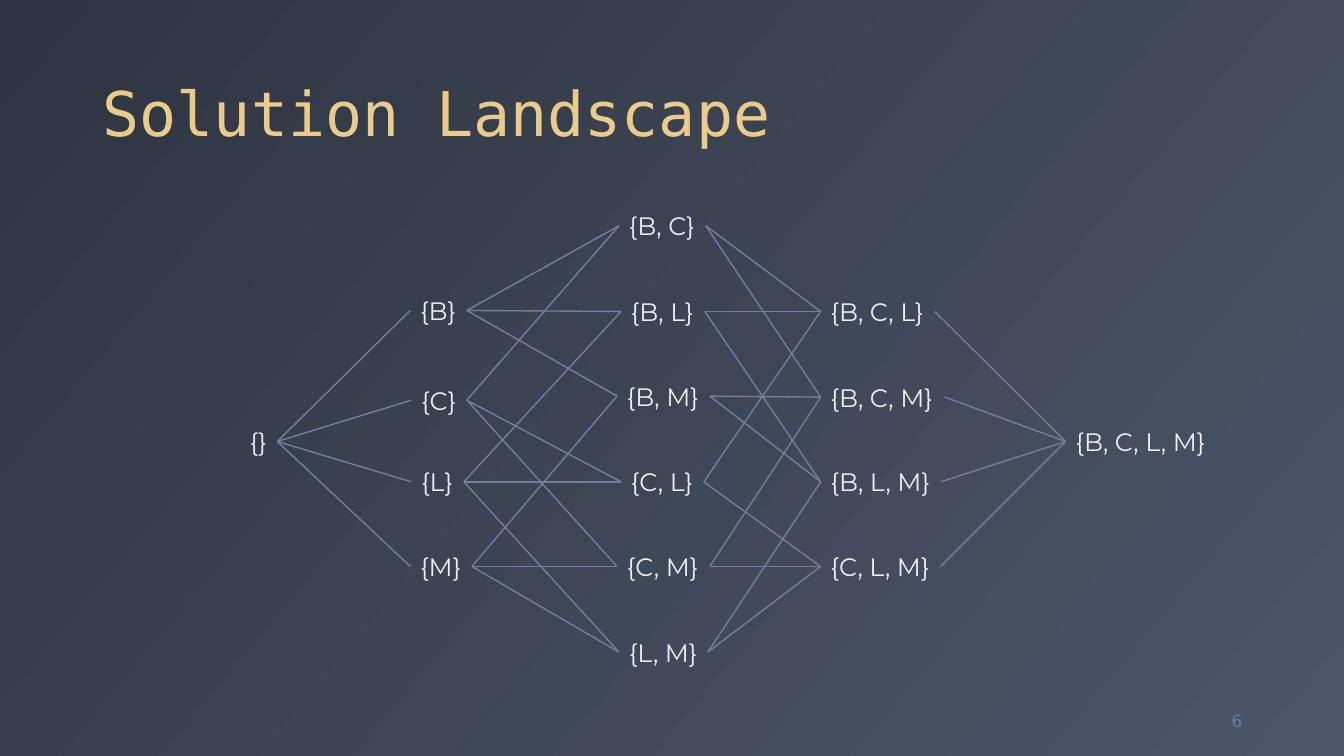
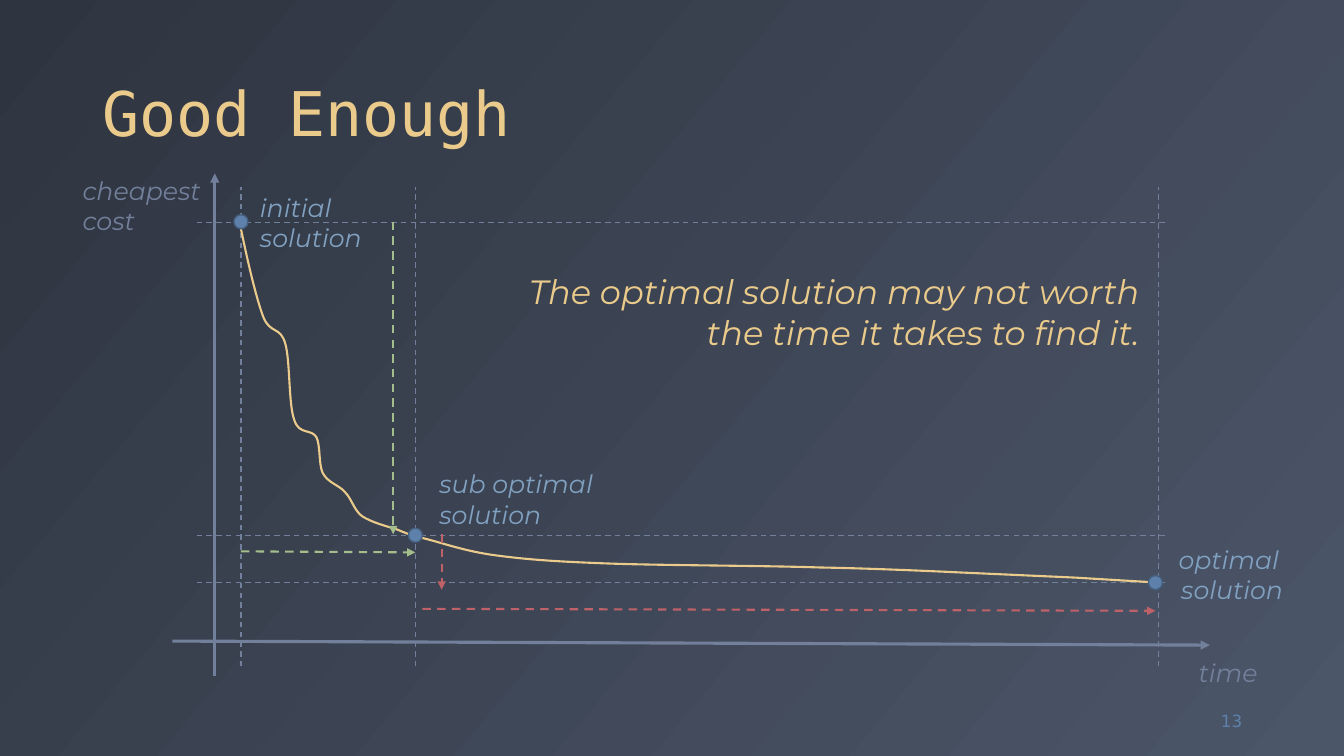
from itertools import combinations, pairwise

from lxml.etree import SubElement
from pptx import Presentation
from pptx.dml.color import RGBColor
from pptx.enum.dml import MSO_LINE
from pptx.enum.shapes import MSO_CONNECTOR, MSO_SHAPE
from pptx.enum.text import MSO_ANCHOR as Anchor, MSO_AUTO_SIZE as AutoSize, PP_ALIGN as Align
from pptx.oxml.ns import qn
from pptx.util import Inches, Pt

NIGHT = RGBColor(0x2E, 0x34, 0x40)
SLATE = RGBColor(0x4C, 0x56, 0x69)
SNOW = RGBColor(0xEC, 0xEF, 0xF3)
GREY = RGBColor(0x73, 0x80, 0x9B)
SAND = RGBColor(0xEB, 0xCB, 0x8B)
BLUE = RGBColor(0x5E, 0x81, 0xAC)
DARK_BLUE = RGBColor(0x46, 0x5F, 0x7F)
PALE_BLUE = RGBColor(0x81, 0xA1, 0xC1)
GREEN = RGBColor(0xA3, 0xBE, 0x8C)
RED = RGBColor(0xBF, 0x61, 0x69)

TITLE_FONT = "DejaVu Sans Mono"
NUMBER_FONT = "DejaVu Sans"
BODY_FONT = "Montserrat"

ITEMS = "BCLM"
LABEL_HEIGHT = 0.4
# Left, top and width of each subset label, one column per subset size
LABEL_COLUMNS = [
    [(2.38, 4.18, 0.37)],
    [(4.07, 2.88, 0.56), (4.08, 3.77, 0.55), (4.08, 4.58, 0.52), (4.07, 5.42, 0.61)],
    [(6.14, 2.04, 0.86), (6.16, 2.89, 0.83), (6.12, 3.73, 0.92),
     (6.16, 4.58, 0.82), (6.12, 5.42, 0.92), (6.14, 6.27, 0.88)],
    [(8.14, 2.89, 1.13), (8.14, 3.74, 1.23), (8.14, 4.58, 1.19), (8.14, 5.42, 1.19)],
    [(10.57, 4.18, 1.5)],
]

CURVE_START = (2.39, 2.27)
# Two control points and an end point for each bend
CURVE_BENDS = [
    [(2.46, 2.61), (2.54, 2.95), (2.61, 3.14)],
    [(2.68, 3.32), (2.78, 3.23), (2.83, 3.41)],
    [(2.88, 3.58), (2.86, 4.01), (2.92, 4.17)],
    [(2.97, 4.32), (3.09, 4.25), (3.14, 4.34)],
    [(3.18, 4.43), (3.16, 4.6), (3.2, 4.69)],
    [(3.25, 4.79), (3.36, 4.81), (3.42, 4.88)],
    [(3.49, 4.95), (3.51, 5.06), (3.59, 5.12)],
    [(3.68, 5.18), (3.83, 5.22), (3.93, 5.25)],
    [(4.03, 5.29), (4.04, 5.3), (4.2, 5.34)],
    [(4.37, 5.38), (4.61, 5.47), (4.92, 5.51)],
    [(5.22, 5.55), (5.48, 5.57), (6.02, 5.59)],
    [(6.55, 5.61), (7.55, 5.61), (8.14, 5.63)],
    [(8.72, 5.64), (9.54, 5.68), (9.54, 5.68)],
]
CURVE_TAIL = [(10.66, 5.73), (11.49, 5.78)]


def add_text(slide, box, lines, color, size=18, font=BODY_FONT, italic=False,
             align=Align.LEFT, anchor=Anchor.TOP, wrap=False):
    shape = slide.shapes.add_textbox(*map(Inches, box))
    frame = shape.text_frame
    frame.word_wrap = wrap
    frame.auto_size = AutoSize.NONE if wrap else AutoSize.SHAPE_TO_FIT_TEXT
    frame.vertical_anchor = anchor
    frame.text = "\n".join(lines)
    for paragraph in frame.paragraphs:
        paragraph.alignment = align
        paragraph.font.name = font
        paragraph.font.size = Pt(size)
        paragraph.font.italic = italic
        paragraph.font.color.rgb = color
    return frame


def add_line(slide, start, end, color=GREY, width=1, dashed=False, arrow=False):
    connector = slide.shapes.add_connector(
        MSO_CONNECTOR.STRAIGHT, *map(Inches, (*start, *end)))
    connector.line.color.rgb = color
    connector.line.width = Pt(width)
    if dashed:
        connector.line.dash_style = MSO_LINE.DASH
    properties = connector._element.spPr
    if arrow:
        SubElement(properties.find(qn("a:ln")), qn("a:tailEnd"), type="triangle")
    SubElement(properties, qn("a:effectLst"))


def add_dot(slide, left, top):
    dot = slide.shapes.add_shape(
        MSO_SHAPE.OVAL, *map(Inches, (left, top, 0.14, 0.14)))
    dot.shadow.inherit = False
    dot.fill.solid()
    dot.fill.fore_color.rgb = BLUE
    dot.line.color.rgb = DARK_BLUE
    dot.line.width = Pt(1)


def add_curve(slide, start, bends, tail):
    """Draw Bezier bends from start, then straight segments along tail."""
    points = [point for bend in bends for point in bend] + tail
    builder = slide.shapes.build_freeform(*map(Inches, start))
    builder.add_line_segments(
        [(Inches(x), Inches(y)) for x, y in points], close=False)
    curve = builder.convert_to_shape()
    curve.shadow.inherit = False
    curve.fill.background()
    curve.line.color.rgb = SAND
    curve.line.width = Pt(1.5)

    # Merge each three straight segments of a bend into one Bezier segment
    segments = list(curve._element.iter(qn("a:lnTo")))
    for first in range(0, 3 * len(bends), 3):
        bend = segments[first]
        for segment in segments[first + 1:first + 3]:
            bend.append(segment[0])
            segment.getparent().remove(segment)
        bend.tag = qn("a:cubicBezTo")


def add_base_slide(presentation, title, number):
    slide = presentation.slides.add_slide(presentation.slide_layouts[6])
    fill = slide.background.fill
    fill.gradient()
    fill.gradient_angle = 320
    for stop, color in zip(fill.gradient_stops, (NIGHT, SLATE)):
        stop.color.rgb = color
    frame = add_text(slide, (0.92, 0.18, 11.5, 1.36), [title], SAND, 44,
                     TITLE_FONT, anchor=Anchor.BOTTOM, wrap=True)
    frame.paragraphs[0].line_spacing = 0.9
    add_text(slide, (11.59, 6.95, 0.83, 0.4), [str(number)], BLUE, 12,
             NUMBER_FONT, align=Align.RIGHT, anchor=Anchor.MIDDLE, wrap=True)
    return slide


def add_landscape(presentation):
    slide = add_base_slide(presentation, "Solution Landscape", 6)
    columns = [list(zip(combinations(ITEMS, size), places))
               for size, places in enumerate(LABEL_COLUMNS)]
    for column in columns:
        for subset, place in column:
            label = "{" + ", ".join(subset) + "}"
            add_text(slide, (*place, LABEL_HEIGHT), [label], SNOW)
    middle = LABEL_HEIGHT / 2
    for column, next_column in pairwise(columns):
        for subset, (left, top, width) in column:
            for superset, (next_left, next_top, _) in next_column:
                if set(subset) < set(superset):
                    add_line(slide, (left + width, top + middle),
                             (next_left, next_top + middle))


def add_good_enough(presentation):
    slide = add_base_slide(presentation, "Good Enough", 13)
    for y in (2.21, 5.31, 5.78):
        add_line(slide, (1.95, y), (11.55, y), dashed=True)
    for x in (2.39, 4.12, 11.49):
        add_line(slide, (x, 6.61), (x, 1.86), dashed=True)

    add_line(slide, (1.71, 6.36), (12, 6.4), width=2.25, arrow=True)
    add_line(slide, (2.13, 6.71), (2.13, 1.72), width=2.25, arrow=True)
    add_curve(slide, CURVE_START, CURVE_BENDS, CURVE_TAIL)
    for left, top in ((2.32, 2.13), (4.05, 5.24), (11.39, 5.71)):
        add_dot(slide, left, top)

    for box, lines, color, align in (
        ((0.72, 1.69, 1.39, 0.71), ["cheapest", "cost"], GREY, Align.LEFT),
        ((11.79, 6.47, 0.79, 0.4), ["time"], GREY, Align.LEFT),
        ((2.48, 1.86, 1.22, 0.71), ["initial", "solution"], PALE_BLUE, Align.LEFT),
        ((4.26, 4.6, 1.81, 0.71), ["sub optimal", "solution"], PALE_BLUE, Align.LEFT),
        ((11.58, 5.35, 1.28, 0.71), ["optimal ", "solution"], PALE_BLUE, Align.CENTER),
    ):
        add_text(slide, box, lines, color, italic=True, align=align)

    for start, end, color in (
        ((3.9, 2.2), (3.9, 5.3), GREEN),
        ((2.39, 5.47), (4.12, 5.48), GREEN),
        ((4.19, 6.04), (11.46, 6.06), RED),
        ((4.38, 5.3), (4.38, 5.85), RED),
    ):
        add_line(slide, start, end, color, 1.5, dashed=True, arrow=True)
    add_text(slide, (5.06, 2.64, 6.34, 0.91),
             ["The optimal solution may not worth ", "the time it takes to find it."],
             SAND, 24, italic=True, align=Align.RIGHT)


def main():
    presentation = Presentation()
    presentation.slide_width = Inches(13.33)
    presentation.slide_height = Inches(7.5)
    add_landscape(presentation)
    add_good_enough(presentation)
    presentation.save("out.pptx")


if __name__ == "__main__":
    main()
